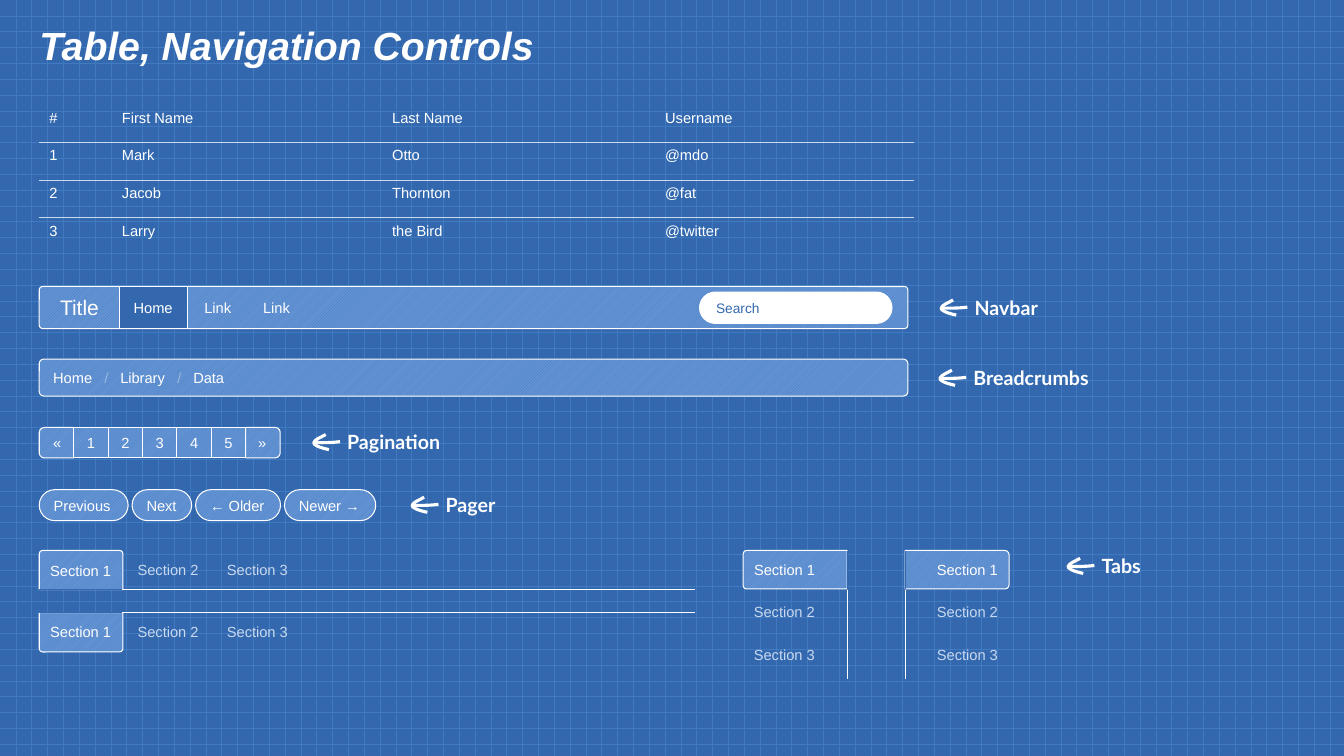
from lxml.etree import SubElement
from pptx import Presentation
from pptx.dml.color import RGBColor
from pptx.enum.dml import MSO_PATTERN
from pptx.enum.shapes import MSO_CONNECTOR, MSO_SHAPE
from pptx.enum.text import MSO_ANCHOR, PP_ALIGN
from pptx.oxml import parse_xml
from pptx.oxml.ns import nsdecls, qn
from pptx.util import Cm, Pt

WHITE, BLUE, PALE, SLASH = "FFFFFF", "3368AF", "C9D9EF", "97B7E1"
HATCH = ("437CC9", "6493D2")
LEFT = 0.99
BAR_WIDTH = 21.89

TITLE = "Table, Navigation Controls"
COLUMN_WIDTHS = [1.83, 6.81, 6.88, 6.53]
ROW_HEIGHT = 0.95
PEOPLE = [
    ("#", "First Name", "Last Name", "Username"),
    ("1", "Mark", "Otto", "@mdo"),
    ("2", "Jacob", "Thornton", "@fat"),
    ("3", "Larry", "the Bird", "@twitter"),
]
NAV_LINKS = [("Link", 4.79), ("Link", 6.27)]
BREADCRUMBS = ["Home\t", "/", "\tLibrary\t", "/", "\tData"]
BREADCRUMB_TABS = [1.29, 1.69, 3.13, 3.53]
PAGES = ["«", "1", "2", "3", "4", "5", "»"]
PAGER = [("Previous", 2.24), ("Next", 1.5), ("← Older", 2.14), ("Newer →", 2.3)]
SECTIONS = ["Section 1", "Section 2", "Section 3"]
FLAT_TABS = [(13.87, 14.86, (0.09, 0)), (15.44, 15.44, (0, 0.09))]
SIDE_TABS = [
    (18.73, 18.75, 21.35, (0.09, 0), PP_ALIGN.LEFT),
    (22.81, 23.32, 22.81, (0, 0.11), PP_ALIGN.RIGHT),
]
CALLOUTS = [
    ("Navbar", 23.72, 7.76, 2.06),
    ("Breadcrumbs", 23.69, 9.53, 3.56),
    ("Pagination", 7.91, 11.15, 2.95),
    ("Pager", 10.39, 12.73, 1.7),
    ("Tabs", 26.92, 14.27, 1.37),
]
ARROW_HEAD = [(0.3, -0.2), (0.18, -0.13), (0.03, -0.08), (0, 0),
              (-0.03, 0.05), (0.13, 0.13), (0.38, 0.18)]
ARROW_SHAFT = [(0, 0), (0.15, 0.01), (0.43, 0.01), (0.66, -0.02)]


def color(code):
    return RGBColor.from_string(code)


def set_pattern(fill, pattern, front, back):
    fill.patterned()
    fill.pattern = pattern
    fill.fore_color.rgb = color(front)
    fill.back_color.rgb = color(back)


def set_fonts(para, size, code, name="Arial", bold=False, italic=False):
    for span in para.runs:
        font = span.font
        font.size, font.name, font.bold, font.italic = Pt(size), name, bold, italic
        font.color.rgb = color(code)


def set_tabs(para, stops):
    tab_list = SubElement(para._p.get_or_add_pPr(), qn("a:tabLst"))
    for stop in stops:
        SubElement(tab_list, qn("a:tab"), pos=str(Cm(stop)), algn="l")


def write(box, text, size=10.5, code=WHITE, align=PP_ALIGN.LEFT, inset=0.25,
          rise=0.1, wrap=False, name="Arial", bold=False):
    frame = box.text_frame
    frame.text = text
    frame.word_wrap = wrap
    frame.vertical_anchor = MSO_ANCHOR.MIDDLE
    frame.margin_left = frame.margin_right = Cm(inset)
    frame.margin_top = frame.margin_bottom = Cm(rise)
    for para in frame.paragraphs:
        para.alignment = align
        set_fonts(para, size, code, name, bold)


def add_box(kind, left, top, width, height, fill=HATCH, corners=(), turn=0):
    if turn:
        left, top = left + (width - height) / 2, top + (height - width) / 2
        width, height = height, width
    box = page.shapes.add_shape(kind, Cm(left), Cm(top), Cm(width), Cm(height))
    box.shadow.inherit = False
    box.rotation = turn
    for index, corner in enumerate(corners):
        box.adjustments[index] = corner
    if fill == HATCH:
        set_pattern(box.fill, MSO_PATTERN.LIGHT_UPWARD_DIAGONAL, *HATCH)
    else:
        box.fill.solid()
        box.fill.fore_color.rgb = color(fill)
    box.line.color.rgb = color(WHITE)
    box.line.width = Pt(0.75)
    if turn:
        direction = "vert" if turn == 270 else "vert270"
        box.text_frame._txBody.bodyPr.set("vert", direction)
    return box


def add_label(shapes, left, top, width, height, text, **style):
    box = shapes.add_textbox(Cm(left), Cm(top), Cm(width), Cm(height))
    write(box, text, **style)
    return box


def add_line(left, top, right, bottom, code=WHITE):
    line = page.shapes.add_connector(
        MSO_CONNECTOR.STRAIGHT, Cm(left), Cm(top), Cm(right), Cm(bottom))
    line.line.color.rgb = color(code)
    line.line.width = Pt(0.75)
    SubElement(line._element.spPr, qn("a:effectLst"))


def add_stroke(shapes, tip_x, tip_y, offsets):
    points = [(Cm(tip_x + x), Cm(tip_y + y)) for x, y in offsets]
    builder = shapes.build_freeform(*points[0])
    builder.add_line_segments(points[1:], close=False)
    stroke = builder.convert_to_shape()
    segments = list(stroke._element.iter(qn("a:lnTo")))
    outline = segments[0].getparent()
    for start in range(0, len(segments), 3):
        curve = SubElement(outline, qn("a:cubicBezTo"))
        for segment in segments[start:start + 3]:
            curve.append(segment[0])
            outline.remove(segment)
    stroke.shadow.inherit = False
    stroke.fill.background()
    stroke.line.color.rgb = color(WHITE)
    stroke.line.width = Pt(2.25)


deck = Presentation()
deck.slide_width, deck.slide_height = Cm(33.87), Cm(19.05)
page = deck.slides.add_slide(deck.slide_layouts[5])
set_pattern(page.background.fill, MSO_PATTERN.DOTTED_GRID, "407AC0", BLUE)

title = page.shapes.title
title.left, title.top, title.width, title.height = Cm(0.74), Cm(0.53), Cm(32.39), Cm(1.35)
write(title, TITLE, wrap=True)
title.text_frame.paragraphs[0].line_spacing = 0.9
set_fonts(title.text_frame.paragraphs[0], 28, WHITE, bold=True, italic=True)

table = page.shapes.add_table(
    len(PEOPLE), len(COLUMN_WIDTHS), Cm(LEFT), Cm(2.64),
    Cm(sum(COLUMN_WIDTHS)), Cm(ROW_HEIGHT * len(PEOPLE))).table
table.first_row = table.horz_banding = False
table._tbl.tblPr.find(qn("a:tableStyleId")).text = "{2D5ABB26-0587-4C30-8999-92F81FD0307C}"
for column, width in zip(table.columns, COLUMN_WIDTHS):
    column.width = Cm(width)
for row_index, person in enumerate(PEOPLE):
    table.rows[row_index].height = Cm(ROW_HEIGHT)
    for column_index, value in enumerate(person):
        cell = table.cell(row_index, column_index)
        cell.text = value
        cell.fill.background()
        set_fonts(cell.text_frame.paragraphs[0], 10.5, WHITE)
        edges = (["lnT"] if row_index else []) + (["lnB"] if row_index < len(PEOPLE) - 1 else [])
        for position, edge in enumerate(edges):
            cell._tc.get_or_add_tcPr().insert(position, parse_xml(
                f'<a:{edge} {nsdecls("a")} w="12700"><a:solidFill>'
                f'<a:srgbClr val="{PALE}"/></a:solidFill></a:{edge}>'))

ROUND, TAB = MSO_SHAPE.ROUNDED_RECTANGLE, MSO_SHAPE.ROUND_2_SAME_RECTANGLE
navbar = add_box(ROUND, LEFT, 7.22, BAR_WIDTH, 1.06, corners=[0.08])
write(navbar, "Title", size=15, inset=0.5, wrap=True)
write(add_box(MSO_SHAPE.RECTANGLE, 3.01, 7.22, 1.72, 1.06, BLUE), "Home", inset=0.36)
for link, left in NAV_LINKS:
    add_label(page.shapes, left, 7.22, 1.4, 1.06, link, inset=0.36)
search = add_box(ROUND, 17.63, 7.36, 4.85, 0.79, WHITE, [0.5])
write(search, "Search", size=9.8, code=BLUE, inset=0.3, wrap=True)

trail = add_box(ROUND, LEFT, 9.05, BAR_WIDTH, 0.93, corners=[0.12])
write(trail, "", inset=0.32, wrap=True)
trail_para = trail.text_frame.paragraphs[0]
for part in BREADCRUMBS:
    trail_para.add_run().text = part
set_fonts(trail_para, 10.5, WHITE)
set_tabs(trail_para, BREADCRUMB_TABS)
for span in trail_para.runs:
    if span.text == "/":
        span.font.color.rgb = color(SLASH)

for index, label in enumerate(PAGES):
    turn = {"«": 270, "»": 90}.get(label, 0)
    kind = TAB if turn else MSO_SHAPE.RECTANGLE
    button = add_box(kind, LEFT + index * 0.867, 10.77, 0.87, 0.77, turn=turn)
    write(button, label, align=PP_ALIGN.CENTER, inset=0.1, wrap=True)

left = LEFT
for label, width in PAGER:
    write(add_box(ROUND, left, 12.34, width, 0.78, corners=[0.5]), label)
    left += width + 0.1

for top, edge, corners in FLAT_TABS:
    write(add_box(TAB, LEFT, top, 2.11, 0.99, corners=corners), SECTIONS[0])
    add_line(LEFT, edge, LEFT + 2.09, edge, BLUE)
    others = add_label(page.shapes, 3.22, top + 0.13, 4.4, 0.71,
                       "\t".join(SECTIONS[1:]), code=PALE, wrap=True)
    set_tabs(others.text_frame.paragraphs[0], [2.25])
    add_line(LEFT + 2.11, edge, 17.51, edge)

for left, list_left, edge, corners, align in SIDE_TABS:
    active = add_box(TAB, left, 13.87, 2.62, 0.97, corners=corners, turn=270)
    write(active, SECTIONS[0], align=align, rise=0.25)
    others = add_label(page.shapes, list_left, 15.07, 2.08, 1.8,
                       "\n".join(SECTIONS[1:]), code=PALE, align=align, rise=0.13)
    others.text_frame.vertical_anchor = MSO_ANCHOR.TOP
    for para in others.text_frame.paragraphs:
        para.space_after = Pt(18)
    add_line(edge, 14.86, edge, 17.12)
    add_line(edge, 13.89, edge, 14.83, BLUE)

for label, tip_x, tip_y, width in CALLOUTS:
    callout = page.shapes.add_group_shape().shapes
    add_stroke(callout, tip_x, tip_y, ARROW_HEAD)
    add_stroke(callout, tip_x, tip_y, ARROW_SHAFT)
    add_label(callout, tip_x + 0.71, tip_y - 0.41, width, 0.79, label,
              size=14, inset=0.13, name="Lato", bold=True)

deck.save("out.pptx")
